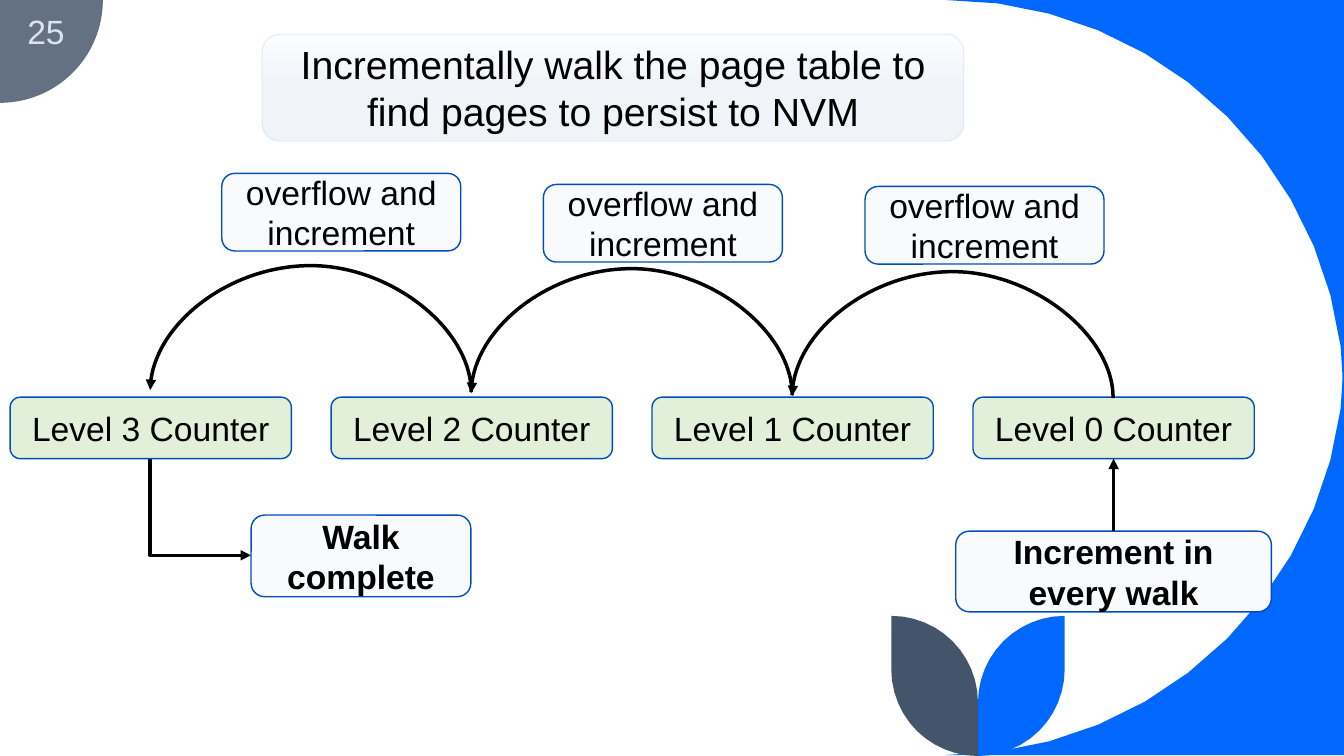
from dataclasses import dataclass
from math import cos, radians, sin

from lxml.etree import SubElement
from pptx import Presentation
from pptx.dml.color import RGBColor
from pptx.enum.shapes import MSO_CONNECTOR, MSO_SHAPE
from pptx.enum.text import MSO_ANCHOR, PP_ALIGN
from pptx.oxml.ns import qn
from pptx.util import Inches, Pt


@dataclass(frozen=True)
class Theme:
    """Colours, type sizes and line widths of the slide."""
    font: str = "Arial"
    blue: str = "0068FF"
    slate: str = "44546A"
    grey: str = "637183"
    pale: str = "DAE5EF"
    outline: str = "004DBD"
    counter: str = "E2F0D9"
    label: str = "F8FAFC"
    ink: str = "000000"
    title_top: str = "FCFDFE"
    title_bottom: str = "F0F4F9"
    title_size: int = 28
    body_size: int = 24
    arrow_width: float = 2.5


THEME = Theme()
COLUMNS, ROWS = 13.33, 7.5
PITCH = 9.55 / 3
LEVELS = ("Level 3 Counter", "Level 2 Counter", "Level 1 Counter", "Level 0 Counter")
OVERFLOW_TOPS = (1.72, 1.83, 1.85)


def grid(*units):
    """Turn grid units, one inch each, into slide lengths."""
    return [Inches(unit) for unit in units]


def color(name):
    """Return the colour object of a hex value."""
    return RGBColor.from_string(name)


def apply_format(target, values):
    """Set every attribute named in a dict."""
    for name, value in values.items():
        setattr(target, name, value)


def write_text(shape, text, size, ink=THEME.ink, bold=False, align=PP_ALIGN.CENTER):
    """Write one formatted paragraph into a shape."""
    apply_format(shape.text_frame, {"word_wrap": True, "vertical_anchor": MSO_ANCHOR.MIDDLE})
    paragraph = shape.text_frame.paragraphs[0]
    paragraph.text = text
    paragraph.alignment = align
    apply_format(paragraph.font, {"name": THEME.font, "size": Pt(size), "bold": bold})
    paragraph.font.color.rgb = color(ink)


def paint(shape, fill):
    """Give a shape a plain fill without line or shadow."""
    shape.shadow.inherit = False
    shape.fill.solid()
    shape.fill.fore_color.rgb = color(fill)
    shape.line.fill.background()


def add_box(slide, box, text, fill, size=THEME.body_size, line=THEME.outline, width=1, bold=False):
    """Add a rounded box with centred text."""
    shape = slide.shapes.add_shape(MSO_SHAPE.ROUNDED_RECTANGLE, *grid(*box))
    paint(shape, fill)
    shape.line.color.rgb = color(line)
    shape.line.width = Pt(width)
    write_text(shape, text, size, bold=bold)
    return shape


def add_title(slide, box, text):
    """Add the title box with its vertical gradient."""
    shape = add_box(slide, box, text, THEME.label, THEME.title_size, THEME.pale, 0.5)
    shape.fill.gradient()
    shape.fill.gradient_angle = 270
    stops = zip(shape.fill.gradient_stops, (0, 0.5), (THEME.title_top, THEME.title_bottom))
    for stop, position, shade in stops:
        stop.position = position
        stop.color.rgb = color(shade)


def arc(center_x, center_y, radius, start, steps=12):
    """Return points along a quarter circle from a start angle."""
    angles = [radians(start + 90 * step / steps) for step in range(steps + 1)]
    return [(center_x + radius * cos(angle), center_y + radius * sin(angle)) for angle in angles]


def add_outline(slide, points, fill):
    """Add a filled closed outline."""
    start, *others = [grid(*point) for point in points]
    builder = slide.shapes.build_freeform(*start)
    builder.add_line_segments(others, close=True)
    paint(builder.convert_to_shape(), fill)


def add_decoration(slide):
    """Add the corner areas, the number badge and the two leaves."""
    radius, left = 3.95, COLUMNS - 3.95
    add_outline(slide, arc(left, radius, radius, -90) + [(COLUMNS, 0)], THEME.blue)
    add_outline(slide, arc(left, 3.54, radius, 0) + [(COLUMNS, 3.54 + radius)], THEME.blue)
    badge = slide.shapes.add_shape(MSO_SHAPE.PIE_WEDGE, *grid(0, 0, 1.02, 1.02))
    badge.rotation = 180
    paint(badge, THEME.grey)
    stem, width = 9.7, 0.86
    leaf = arc(stem, ROWS - width, width, 0) + arc(stem + width, 6.97, width, 180)
    add_outline(slide, leaf, THEME.blue)
    add_outline(slide, [(2 * stem - x, y) for x, y in leaf], THEME.slate)
    number = slide.shapes.add_textbox(*grid(0.1, 0.11, 0.64, 0.4))
    write_text(number, "25", THEME.body_size, THEME.pale, align=PP_ALIGN.RIGHT)


def add_arrow(slide, kind, start, end, bend=None):
    """Add a connector with an arrowhead and an optional bend."""
    connector = slide.shapes.add_connector(kind, *grid(*start, *end))
    connector.line.color.rgb = color(THEME.ink)
    connector.line.width = Pt(THEME.arrow_width)
    SubElement(connector.line._get_or_add_ln(), qn("a:tailEnd"), type="triangle")
    properties = connector._element.spPr
    SubElement(properties, qn("a:effectLst"))
    if bend is not None:
        adjustments = properties.find(qn("a:prstGeom")).get_or_add_avLst()
        SubElement(adjustments, qn("a:gd"), name="adj1", fmla=f"val {round(bend * 100000)}")
    return connector


def add_arch(slide, right, base):
    """Add an arched arrow that goes one counter to the left."""
    rise, height = 0.02, 1.25
    middle_x, middle_y = right - PITCH / 2, base - rise / 2
    left, top = middle_x - rise / 2, middle_y - PITCH / 2
    start, end = (left, top + PITCH), (left + rise, top)
    connector = add_arrow(slide, MSO_CONNECTOR.CURVE, start, end, height / rise)
    connector._element.spPr.find(qn("a:xfrm")).set("rot", str(270 * 60000))


def main():
    """Build the slide and save it."""
    presentation = Presentation()
    presentation.slide_width, presentation.slide_height = grid(COLUMNS, ROWS)
    slide = presentation.slides.add_slide(presentation.slide_layouts[6])
    add_decoration(slide)
    add_arrow(slide, MSO_CONNECTOR.ELBOW, (1.49, 4.51), (2.49, 5.51), 0)
    add_title(slide, (2.6, 0.34, 6.96, 1.06),
              "Incrementally walk the page table to find pages to persist to NVM")
    counters = [add_box(slide, (0.1 + index * PITCH, 3.94, 2.79, 0.61), text, THEME.counter)
                for index, text in enumerate(LEVELS)]
    for index, top in enumerate(OVERFLOW_TOPS):
        add_arch(slide, 1.49 + (index + 1) * PITCH, 3.89 + 0.03 * index)
        add_box(slide, (2.2 + index * 3.19, top, 2.37, 0.77), "overflow and increment", THEME.label)
    add_box(slide, (2.49, 5.11, 2.18, 0.81), "Walk complete", THEME.label, bold=True)
    increment = add_box(slide, (9.48, 5.27, 3.13, 0.8), "Increment in every walk",
                        THEME.label, bold=True)
    upward = add_arrow(slide, MSO_CONNECTOR.STRAIGHT, (11.04, 5.27), (11.04, 4.55))
    upward.begin_connect(increment, 0)
    upward.end_connect(counters[-1], 2)
    presentation.save("out.pptx")


if __name__ == "__main__":
    main()
